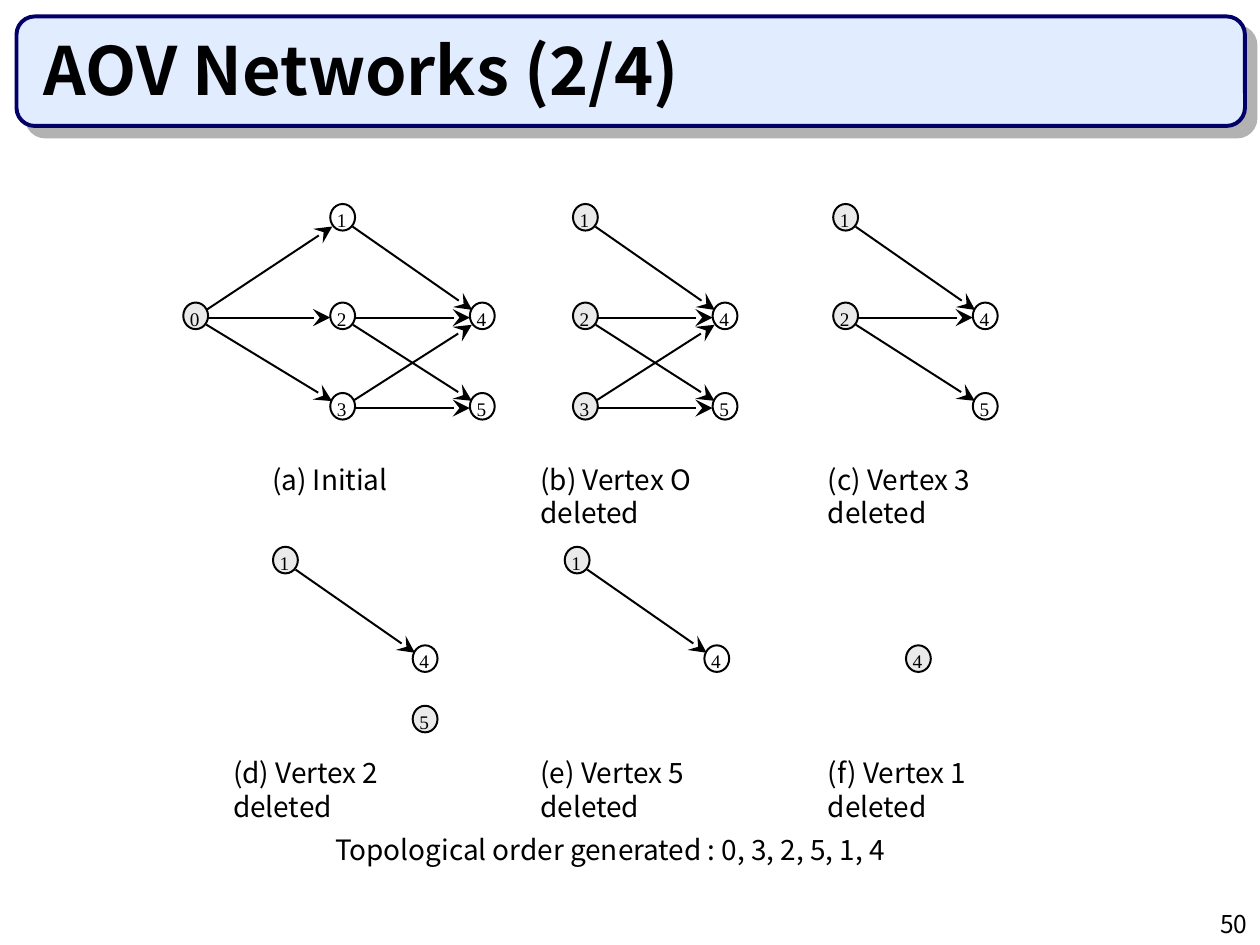
"""Slide: topological sort of an AOV network, one panel per deleted vertex."""
from dataclasses import dataclass
from math import hypot

from lxml import etree
from pptx import Presentation
from pptx.dml.color import RGBColor
from pptx.enum import shapes, text
from pptx.oxml import ns
from pptx.util import Pt


@dataclass(frozen=True)
class Theme:
    ink: str = "000000"
    banner: str = "E1ECFF"
    banner_edge: str = "000066"
    banner_shadow: str = "B2B2B2"
    waiting: str = "FFFFFF"
    ready: str = "EAEAEA"
    sans: str = "Noto Sans CJK KR"
    serif: str = "Times New Roman"
    title: float = 38
    caption: float = 16
    number: float = 14
    vertex: float = 11
    edge: float = 1.13
    border: float = 2.25


THEME = Theme()
VERTEX_W, VERTEX_H = 14.2, 15.2
EDGE_DROP = 1  # edges run slightly below the vertex centres
LEFT, MIDDLE, RIGHT = -84, 0, 79.8
TOP, CENTRE, BOTTOM = 0, 56.3, 108
PLACES = {
    0: (LEFT, CENTRE), 1: (MIDDLE, TOP), 2: (MIDDLE, CENTRE),
    3: (MIDDLE, BOTTOM), 4: (RIGHT, CENTRE), 5: (RIGHT, BOTTOM),
}
EDGES = [(0, 1), (0, 2), (0, 3), (1, 4), (2, 4), (2, 5), (3, 4), (3, 5)]
UPPER, LOWER = 116.6, 312.5
UPPER_CAPTION, LOWER_CAPTION = 264.2, 432
NARROW, WIDE = 96.5, 130.3
# origin, remaining vertices, ready vertices, caption, caption box (left, top, width)
PANELS = [
    ((188.7, UPPER), {0, 1, 2, 3, 4, 5}, {0}, "(a) Initial",
     (155.5, UPPER_CAPTION, NARROW)),
    ((327.4, UPPER), {1, 2, 3, 4, 5}, {1, 2, 3}, "(b) Vertex O deleted",
     (308.9, UPPER_CAPTION, WIDE)),
    ((476.1, UPPER), {1, 2, 4, 5}, {1, 2}, "(c) Vertex 3 deleted",
     (473, UPPER_CAPTION, WIDE)),
    ((156, LOWER), {1, 4, 5}, {1, 5}, "(d) Vertex 2 deleted",
     (133.2, LOWER_CAPTION, WIDE)),
    ((322.7, LOWER), {1, 4}, {1}, "(e) Vertex 5 deleted",
     (308.9, LOWER_CAPTION, WIDE)),
    ((437.9, LOWER), {4}, {4}, "(f) Vertex 1 deleted",
     (473, LOWER_CAPTION, WIDE)),
]
LOWER_PLACES = {**PLACES, 5: (RIGHT, 90.8)}
NO_INSETS = dict.fromkeys(
    ("margin_left", "margin_top", "margin_right", "margin_bottom"), 0)


def apply(target, values):
    for name, value in values.items():
        setattr(target, name, value)


def write(frame, words, size, font=THEME.sans, bold=False,
          align=text.PP_ALIGN.LEFT, **frame_format):
    apply(frame, {"word_wrap": True, **frame_format})
    paragraph = frame.paragraphs[0]
    paragraph.alignment = align
    run = paragraph.add_run()
    run.text = words
    apply(run.font, {"size": Pt(size), "name": font, "bold": bold})
    run.font.color.rgb = RGBColor.from_string(THEME.ink)


def add_text(slide, box, words, size, **text_format):
    frame = slide.shapes.add_textbox(*map(Pt, box)).text_frame
    write(frame, words, size, **text_format)


def add_outlined(slide, preset, box, fill, line, width):
    shape = slide.shapes.add_shape(preset, *map(Pt, box))
    shape.shadow.inherit = False
    shape.fill.solid()
    shape.fill.fore_color.rgb = RGBColor.from_string(fill)
    shape.line.color.rgb = RGBColor.from_string(line)
    shape.line.width = Pt(width)
    return shape


def add_banner(slide):
    banner = add_outlined(slide, shapes.MSO_SHAPE.ROUNDED_RECTANGLE,
                          (9.4, 9.4, 702, 62.6), THEME.banner,
                          THEME.banner_edge, THEME.border)
    effects = banner._element.spPr.find(ns.qn("a:effectLst"))
    shadow = etree.SubElement(
        effects, ns.qn("a:outerShdw"), dist=str(Pt(8.5)), dir="2700000",
        algn="ctr", rotWithShape="0")
    etree.SubElement(shadow, ns.qn("a:srgbClr"), val=THEME.banner_shadow)
    add_text(slide, (18, 18, 678, 48), "AOV Networks (2/4)", THEME.title,
             bold=True, vertical_anchor=text.MSO_ANCHOR.BOTTOM)


def add_vertex(slide, label, place, fill):
    vertex = add_outlined(slide, shapes.MSO_SHAPE.OVAL,
                          (*place, VERTEX_W, VERTEX_H), fill,
                          THEME.ink, THEME.edge)
    insets = {**NO_INSETS, "margin_top": Pt(3), "margin_right": Pt(1)}
    write(vertex.text_frame, str(label), THEME.vertex, font=THEME.serif,
          align=text.PP_ALIGN.CENTER, word_wrap=False,
          vertical_anchor=text.MSO_ANCHOR.MIDDLE, **insets)


def add_edge(slide, start, end):
    """Draw an arrow between the rims of two vertices given by their corners."""
    dx, dy = end[0] - start[0], end[1] - start[1]
    length = hypot(dx, dy)
    rim_x = VERTEX_W / 2 * dx / length
    rim_y = VERTEX_H / 2 * dy / length
    centre_x, centre_y = VERTEX_W / 2, VERTEX_H / 2 + EDGE_DROP
    edge = slide.shapes.add_connector(
        shapes.MSO_CONNECTOR.STRAIGHT,
        Pt(start[0] + centre_x + rim_x), Pt(start[1] + centre_y + rim_y),
        Pt(end[0] + centre_x - rim_x), Pt(end[1] + centre_y - rim_y))
    edge.line.color.rgb = RGBColor.from_string(THEME.ink)
    edge.line.width = Pt(THEME.edge)
    etree.SubElement(edge.line._get_or_add_ln(), ns.qn("a:tailEnd"),
                     type="stealth", w="lg", len="lg")
    etree.SubElement(edge._element.spPr, ns.qn("a:effectLst"))


def add_panel(slide, origin, remaining, ready, caption, caption_box):
    layout = PLACES if origin[1] == UPPER else LOWER_PLACES
    places = {vertex: (origin[0] + layout[vertex][0], origin[1] + layout[vertex][1])
              for vertex in sorted(remaining)}
    for tail, head in EDGES:
        if {tail, head} <= remaining:
            add_edge(slide, places[tail], places[head])
    for vertex, place in places.items():
        fill = THEME.ready if vertex in ready else THEME.waiting
        add_vertex(slide, vertex, place, fill)
    height = 19.4 if caption_box[2] == NARROW else 38.4
    add_text(slide, (*caption_box, height), caption, THEME.caption, **NO_INSETS)


def main():
    deck = Presentation()
    apply(deck, {"slide_width": Pt(720), "slide_height": Pt(540)})
    slide = deck.slides.add_slide(deck.slide_layouts[6])
    add_banner(slide)
    for panel in PANELS:
        add_panel(slide, *panel)
    add_text(slide, (191.5, 475.9, 348.5, 19.4),
             "Topological order generated : 0, 3, 2, 5, 1, 4",
             THEME.caption, **NO_INSETS)
    add_text(slide, (570.2, 516.2, 149.8, 23.8), "50", THEME.number,
             align=text.PP_ALIGN.RIGHT)
    deck.save("out.pptx")


if __name__ == "__main__":
    main()
